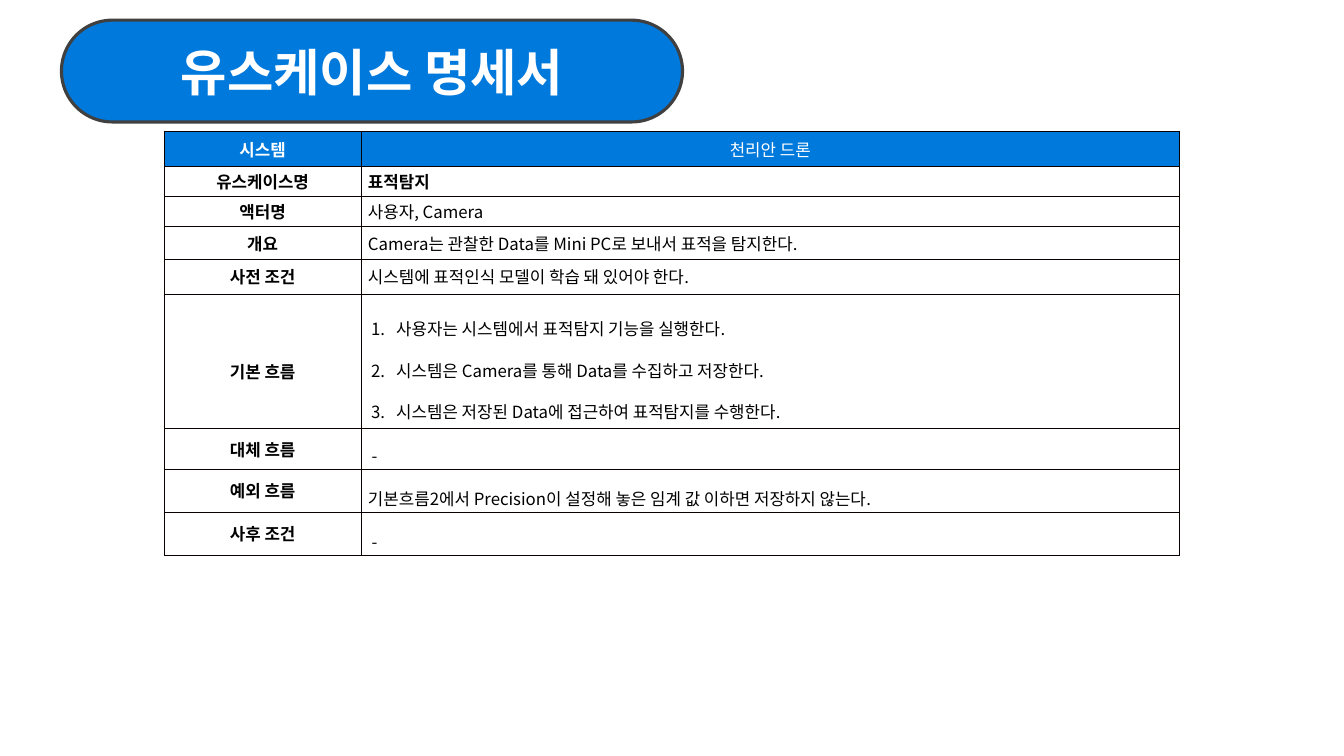
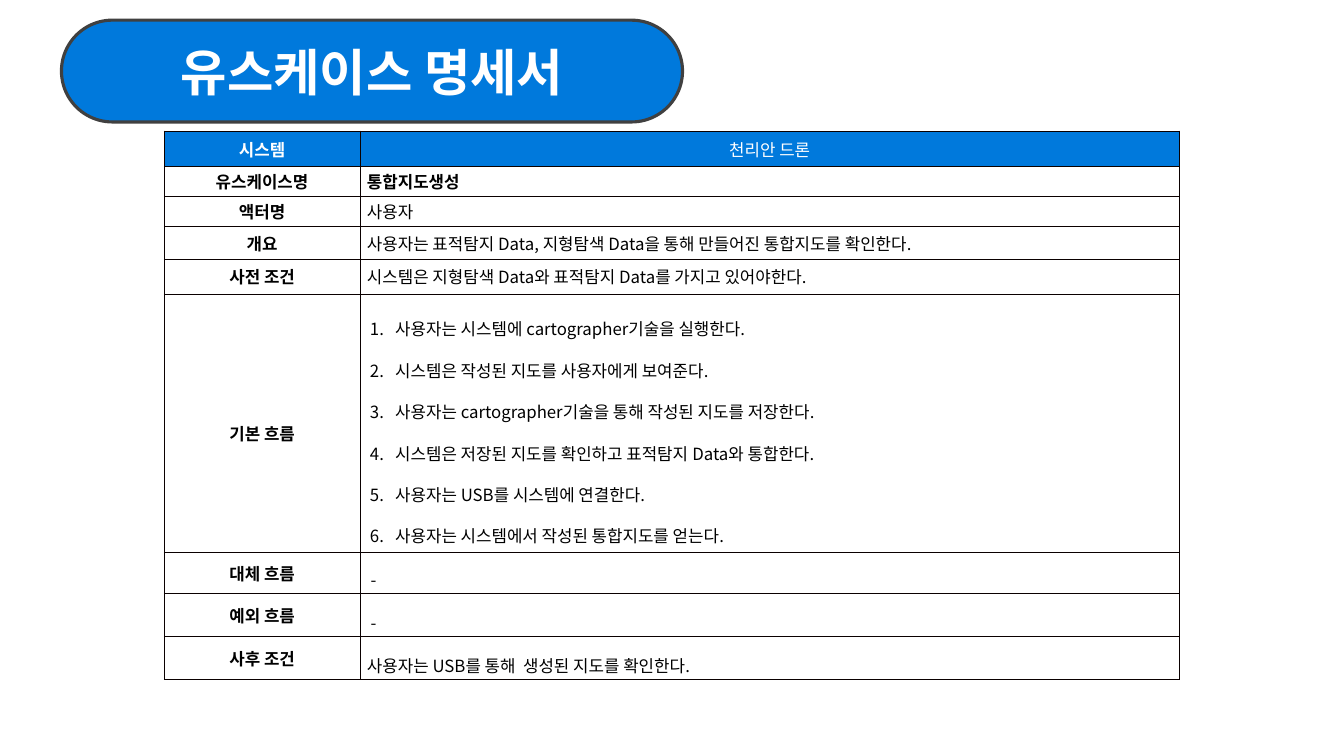
from lxml import etree
from pptx import Presentation
from pptx import util as u
from pptx.dml.color import RGBColor
from pptx.enum import shapes, text
from pptx.oxml import ns

BLUE = RGBColor(0x00, 0x79, 0xDC)
GRAY = RGBColor(0x40, 0x40, 0x40)
WHITE = RGBColor(0xFF, 0xFF, 0xFF)
BLACK = RGBColor(0x00, 0x00, 0x00)
RULE = RGBColor(0x0A, 0x00, 0x00)
FONT = "Noto Sans CJK KR"
MID = text.PP_ALIGN.CENTER

TITLE = "유스케이스 명세서"
WIDTH = 10.07
# Row label, least height, line spacing of the value
ROWS = [
    ("시스템", 0.35, None),
    ("유스케이스명", 0.3, None),
    ("액터명", 0.3, None),
    ("개요", 0.32, None),
    ("사전 조건", 0.35, None),
    ("기본 흐름", 1.16, 1.7),
    ("대체 흐름", 0.31, 1.5),
    ("예외 흐름", 0.24, 1.6),
    ("사후 조건", 0.32, 1.6),
]
HEAD, NAME, FLOW = 0, 1, 5

# Label column width and values of each use case
CASES = [
    (1.95, [
        "천리안 드론",
        "표적탐지",
        "사용자, Camera",
        "Camera는 관찰한 Data를 Mini PC로 보내서 표적을 탐지한다.",
        "시스템에 표적인식 모델이 학습 돼 있어야 한다.",
        "사용자는 시스템에서 표적탐지 기능을 실행한다.\n"
        "시스템은 Camera를 통해 Data를 수집하고 저장한다.\n"
        "시스템은 저장된 Data에 접근하여 표적탐지를 수행한다.",
        " -",
        "기본흐름2에서 Precision이 설정해 놓은 임계 값 이하면 저장하지 않는다.",
        " -",
    ]),
    (1.94, [
        "천리안 드론",
        "통합지도생성",
        "사용자",
        "사용자는 표적탐지 Data, 지형탐색 Data을 통해 만들어진 통합지도를 확인한다.",
        "시스템은 지형탐색 Data와 표적탐지 Data를 가지고 있어야한다.",
        "사용자는 시스템에 cartographer기술을 실행한다.\n"
        "시스템은 작성된 지도를 사용자에게 보여준다.\n"
        "사용자는 cartographer기술을 통해 작성된 지도를 저장한다.\n"
        "시스템은 저장된 지도를 확인하고 표적탐지 Data와 통합한다.\n"
        "사용자는 USB를 시스템에 연결한다.\n"
        "사용자는 시스템에서 작성된 통합지도를 얻는다.",
        " -",
        " -",
        "사용자는 USB를 통해  생성된 지도를 확인한다.",
    ]),
]


class Deck:
    def __init__(self):
        self.prs = Presentation()
        self.prs.slide_width = u.Inches(13.33)
        self.prs.slide_height = u.Inches(7.5)
        self.slide = None

    def page(self):
        self.slide = self.prs.slides.add_slide(self.prs.slide_layouts[6])

    def label(self, frame, words, size, color, bold, align=None, gap=None):
        frame.text = words
        for para in frame.paragraphs:
            para.alignment = align
            para.line_spacing = gap
            for run in para.runs:
                font = run.font
                font.size, font.bold, font.name = u.Pt(size), bold, FONT
                font.color.rgb = color
                # East Asian typeface for the Korean glyphs
                etree.SubElement(font._element, ns.qn("a:ea"), typeface=FONT)

    def title(self, words):
        pill = self.slide.shapes.add_shape(
            shapes.MSO_SHAPE.ROUNDED_RECTANGLE,
            u.Inches(0.61), u.Inches(0.2), u.Inches(6.16), u.Inches(1.01))
        pill.adjustments[0] = 0.5
        pill.shadow.inherit = False
        pill.fill.solid()
        pill.fill.fore_color.rgb = BLUE
        pill.line.color.rgb = GRAY
        pill.line.width = u.Pt(2.25)
        pill.text_frame.vertical_anchor = text.MSO_ANCHOR.MIDDLE
        self.label(pill.text_frame, words, 36, WHITE, True, MID)

    def border(self, cell):
        props = cell._tc.get_or_add_tcPr()
        for spot, side in enumerate("LRTB"):
            line = etree.Element(ns.qn("a:ln" + side), w=str(u.Pt(0.56)))
            fill = etree.SubElement(line, ns.qn("a:solidFill"))
            etree.SubElement(fill, ns.qn("a:srgbClr"), val=str(RULE))
            props.insert(spot, line)

    def number(self, frame):
        for para in frame.paragraphs:
            props = para._p.get_or_add_pPr()
            props.set("marL", str(u.Inches(0.25)))
            props.set("indent", str(-u.Inches(0.25)))
            etree.SubElement(props, ns.qn("a:buAutoNum"), type="arabicPeriod")

    def cell(self, cell, words, head, bold, align, gap):
        if head:
            cell.fill.solid()
            cell.fill.fore_color.rgb = BLUE
        else:
            cell.fill.background()
        self.border(cell)
        cell.vertical_anchor = text.MSO_ANCHOR.MIDDLE
        cell.margin_left = cell.margin_right = u.Inches(0.07)
        cell.margin_top = cell.margin_bottom = u.Inches(0.02)
        self.label(cell.text_frame, words, 12, WHITE if head else BLACK,
                   bold, align, gap)

    def table(self, first, values):
        high = sum(row[1] for row in ROWS)
        grid = self.slide.shapes.add_table(
            len(ROWS), 2, u.Inches(1.63), u.Inches(1.3),
            u.Inches(WIDTH), u.Inches(high)).table
        grid.first_row = grid.horz_banding = False
        grid.columns[0].width = u.Inches(first)
        grid.columns[1].width = u.Inches(WIDTH - first)
        for i, ((name, tall, gap), value) in enumerate(zip(ROWS, values)):
            grid.rows[i].height = u.Inches(tall)
            head = i == HEAD
            self.cell(grid.cell(i, 0), name, head, True, MID,
                      1.8 if i == FLOW else None)
            self.cell(grid.cell(i, 1), value, head, i == NAME,
                      MID if head else None, gap)
        # Numbered steps use wider margins and start at the top
        steps = grid.cell(FLOW, 1)
        steps.vertical_anchor = text.MSO_ANCHOR.TOP
        steps.margin_left = steps.margin_right = u.Inches(0.1)
        steps.margin_top = steps.margin_bottom = u.Inches(0.05)
        self.number(steps.text_frame)


# One slide for each use case
deck = Deck()
for first, values in CASES:
    deck.page()
    deck.title(TITLE)
    deck.table(first, values)
deck.prs.save("out.pptx")
